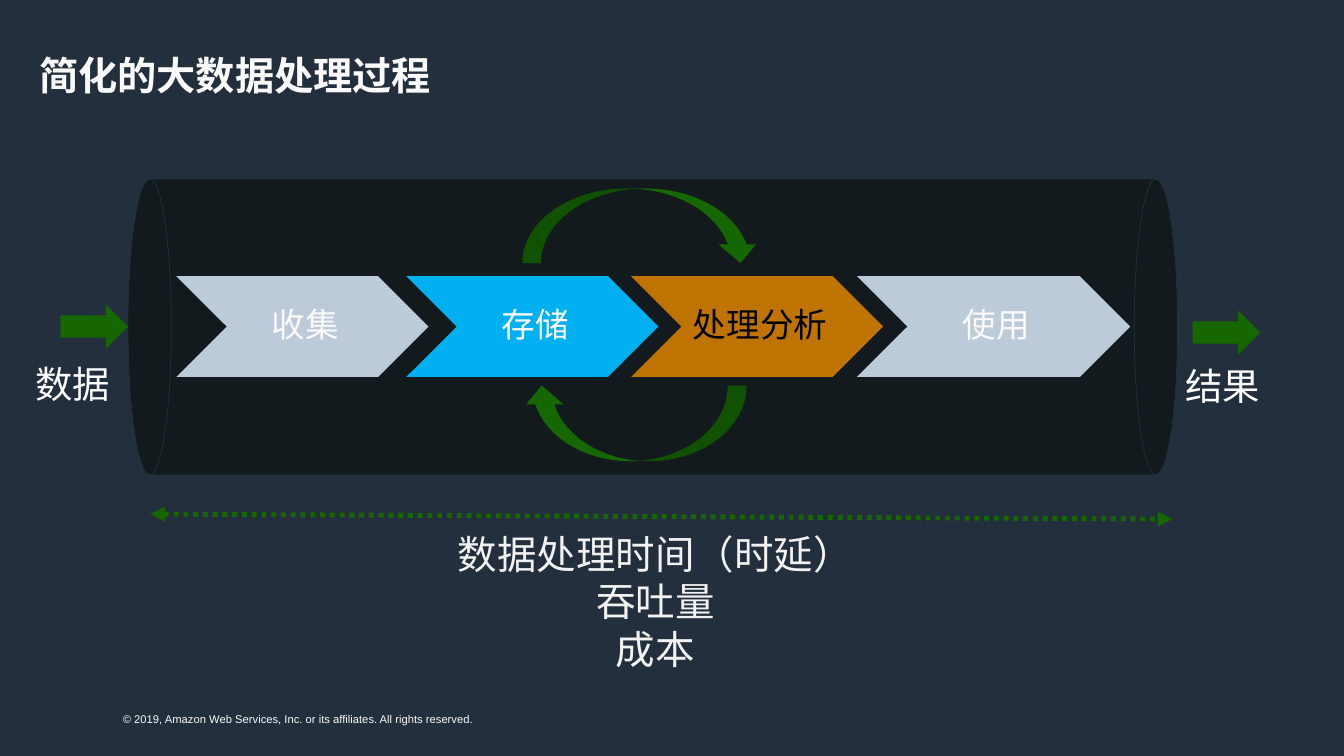
from typing import NamedTuple

from pptx import Presentation
from pptx.dml.color import RGBColor
from pptx.enum.dml import MSO_LINE
from pptx.enum.shapes import MSO_CONNECTOR, MSO_SHAPE as Kind
from pptx.enum.text import MSO_ANCHOR as Anchor, MSO_AUTO_SIZE as Fit, PP_ALIGN as Align
from pptx.oxml.ns import qn
from pptx.util import Pt
from lxml.etree import SubElement

PX = 9144
NAVY, DARK, GREEN = "232F3D", "121A1D", "166700"
GREY, BLUE, AMBER = "BDCAD9", "00B0F0", "BF7300"
WHITE, BLACK = "FAFAFA", "000000"


class Box(NamedTuple):
    x: int
    y: int
    w: int
    h: int


class Form(NamedTuple):
    kind: Kind
    box: Box
    fill: str
    edge: str = ""
    turn: int = 0


class Step(NamedTuple):
    word: str
    x: int
    w: int
    fill: str
    ink: str = WHITE
    face: str = "Lato"


class Label(NamedTuple):
    lines: list[str]
    box: Box
    size: float
    ink: str
    align: Align = Align.LEFT
    wrap: bool = False


PIPE = [
    Form(Kind.RECTANGLE, Box(149, 178, 996, 293), DARK),
    *(Form(Kind.OVAL, Box(x, 178, 43, 293), DARK, NAVY) for x in (127, 1125)),
]
STEPS = [
    Step("收集", 175, 250, GREY),
    Step("存储", 403, 250, BLUE),
    Step("处理分析", 626, 250, AMBER, BLACK),
    Step("使用", 850, 271, GREY, face="Arial"),
]
ARROWS = [
    Form(Kind.RIGHT_ARROW, Box(60, 302, 67, 44), GREEN),
    Form(Kind.RIGHT_ARROW, Box(1183, 308, 67, 44), GREEN),
    Form(Kind.CURVED_LEFT_ARROW, Box(592, 309, 75, 222), GREEN, turn=90),
    Form(Kind.CURVED_DOWN_ARROW, Box(518, 187, 235, 74), GREEN),
]
LABELS = [
    Label(["© 2019, Amazon Web Services, Inc. or its affiliates. All rights reserved."],
          Box(112, 702, 834, 24), 8, WHITE, wrap=True),
    Label(["数据"], Box(25, 353, 95, 55), 26.7, "FEFEFE"),
    Label(["结果"], Box(1166, 355, 95, 55), 26.7, "FEFEFE"),
    Label(["数据处理时间（时延）", "吞吐量", "成本"],
          Box(442, 521, 416, 153), 28.2, "F2F2F2", Align.CENTER),
]


def tint(code: str) -> RGBColor:
    return RGBColor.from_string(code)


def place(box: Box) -> list[int]:
    return [n * PX for n in box]


def style(para, size: float, ink: str, face: str = "Arial", bold: bool = False) -> None:
    font = para.font
    font.size, font.name, font.bold = Pt(size), face, bold
    font.color.rgb = tint(ink)


def draw(slide, form: Form):
    shape = slide.shapes.add_shape(form.kind, *place(form.box))
    shape.shadow.inherit = False
    shape.rotation = form.turn
    shape.fill.solid()
    shape.fill.fore_color.rgb = tint(form.fill)
    if form.edge:
        shape.line.color.rgb = tint(form.edge)
        shape.line.width = Pt(0.5)
    else:
        shape.line.fill.background()
    return shape


def chain(slide, step: Step) -> None:
    shape = draw(slide, Form(Kind.CHEVRON, Box(step.x, 274, step.w, 100), step.fill))
    frame = shape.text_frame
    frame.word_wrap = False
    frame.vertical_anchor = Anchor.MIDDLE
    frame.margin_left = 10 * PX
    frame.margin_right = frame.margin_top = frame.margin_bottom = 4 * PX
    frame.text = step.word
    para = frame.paragraphs[0]
    para.alignment, para.line_spacing = Align.CENTER, 0.9
    style(para, 24, step.ink, step.face)


def write(slide, label: Label) -> None:
    frame = slide.shapes.add_textbox(*place(label.box)).text_frame
    frame.word_wrap = label.wrap
    frame.auto_size = Fit.SHAPE_TO_FIT_TEXT
    frame.text = "\n".join(label.lines)
    for para in frame.paragraphs:
        para.alignment = label.align
        style(para, label.size, label.ink)


def head(slide, text: str) -> None:
    title = slide.shapes.title
    title.left, title.top, title.width, title.height = place(Box(29, 45, 1279, 65))
    frame = title.text_frame
    frame.auto_size = Fit.NONE
    frame.vertical_anchor = Anchor.MIDDLE
    frame.text = text
    para = frame.paragraphs[0]
    para.alignment, para.line_spacing = Align.LEFT, 0.9
    style(para, 28, WHITE, bold=True)


def span(slide) -> None:
    ends = (n * PX for n in (149, 510, 1163, 515))
    link = slide.shapes.add_connector(MSO_CONNECTOR.STRAIGHT, *ends)
    link.line.color.rgb = tint(GREEN)
    link.line.width = Pt(3.5)
    link.line.dash_style = MSO_LINE.ROUND_DOT
    props = link.element.spPr
    for tip in ("a:headEnd", "a:tailEnd"):
        SubElement(props.find(qn("a:ln")), qn(tip), type="triangle")
    SubElement(props, qn("a:effectLst"))


def main() -> None:
    deck = Presentation()
    deck.slide_width, deck.slide_height = 1333 * PX, 750 * PX
    slide = deck.slides.add_slide(deck.slide_layouts[5])
    back = slide.background.fill
    back.solid()
    back.fore_color.rgb = tint(NAVY)
    head(slide, "简化的大数据处理过程")
    for form in PIPE:
        draw(slide, form)
    for step in STEPS:
        chain(slide, step)
    for form in ARROWS:
        draw(slide, form)
    span(slide)
    for label in LABELS:
        write(slide, label)
    deck.save("out.pptx")


if __name__ == "__main__":
    main()
